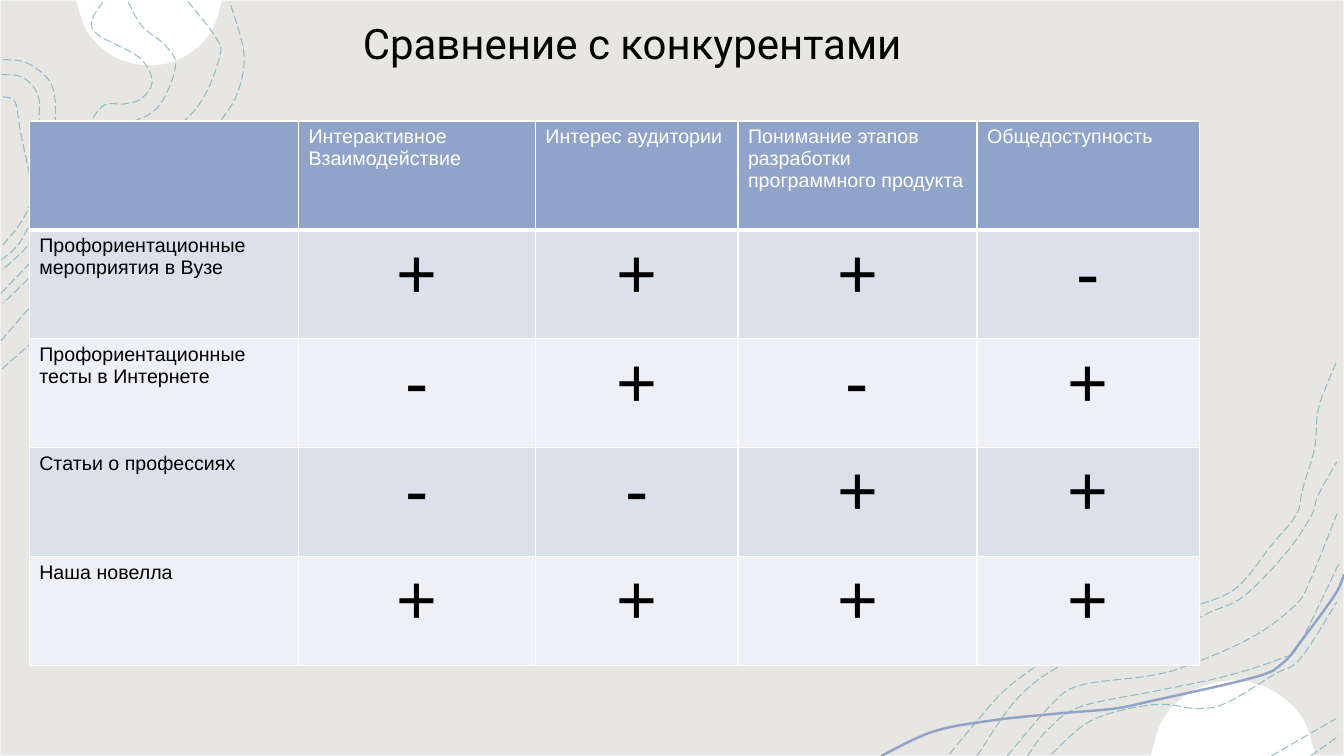
"""Build a slide with a competitor comparison table over a wavy line backdrop."""
import math

from lxml import etree
from pptx import Presentation
from pptx.dml.color import RGBColor
from pptx.enum.dml import MSO_LINE
from pptx.enum.shapes import MSO_SHAPE
from pptx.enum.text import PP_ALIGN
from pptx.oxml.ns import qn
from pptx.util import Inches, Pt

BACKDROP = RGBColor(0xE8, 0xE6, 0xE2)
BACKDROP_EDGE = RGBColor(0xF2, 0xF2, 0xF2)
WHITE = RGBColor(0xFF, 0xFF, 0xFF)
BLACK = RGBColor(0, 0, 0)
BLUE = RGBColor(0x90, 0xA4, 0xC9)
TEAL = RGBColor(0x74, 0xAB, 0xBB)
BAND_COLORS = (RGBColor(0xEE, 0xF0, 0xF5), RGBColor(0xDB, 0xE0, 0xEB))
LONG_DASH = MSO_LINE.LONG_DASH
RECTANGLE = MSO_SHAPE.RECTANGLE
LEFT, CENTER = PP_ALIGN.LEFT, PP_ALIGN.CENTER
WIDTH, HEIGHT = 13.33, 7.5
ARC_STEPS = 6

presentation = Presentation()
presentation.slide_width, presentation.slide_height = Inches(WIDTH), Inches(HEIGHT)
slide = presentation.slides.add_slide(presentation.slide_layouts[6])


def write_text(text_frame, text, size=14, font="Arial", color=BLACK, align=LEFT):
    paragraph = text_frame.paragraphs[0]
    paragraph.alignment = align
    run = paragraph.add_run()
    run.text = text
    run.font.size = Pt(size)
    run.font.name = font
    run.font.color.rgb = color


def draw_curve(points, color, width, close=False):
    vertices = [(Inches(x), Inches(y)) for x, y in points]
    builder = slide.shapes.build_freeform(*vertices[0])
    builder.add_line_segments(vertices[1:], close=False)
    shape = builder.convert_to_shape()
    shape.shadow.inherit = False
    outline = shape._element.find(".//" + qn("a:path"))
    local = [(int(node.get("x")), int(node.get("y"))) for node in outline.iter(qn("a:pt"))]
    padded = [local[0], *local, local[-1]]
    spans = zip(padded, padded[1:], padded[2:], padded[3:])
    for segment, (before, start, end, after) in zip(outline.findall(qn("a:lnTo")), spans):
        segment.tag = qn("a:cubicBezTo")
        leaving = [s + (e - b) // 6 for b, s, e in zip(before, start, end)]
        arriving = [e - (a - s) // 6 for s, e, a in zip(start, end, after)]
        for position, (x, y) in enumerate((leaving, arriving)):
            segment.insert(position, etree.Element(qn("a:pt"), x=str(x), y=str(y)))
    if close:
        etree.SubElement(outline, qn("a:close"))
        shape.fill.solid()
        shape.fill.fore_color.rgb = color
        shape.line.fill.background()
    else:
        shape.fill.background()
        shape.line.color.rgb = color
        shape.line.width = Pt(width)
    return shape


backdrop = slide.shapes.add_shape(RECTANGLE, 0, 0, Inches(WIDTH), Inches(HEIGHT))
backdrop.shadow.inherit = False
backdrop.fill.solid()
backdrop.fill.fore_color.rgb = BACKDROP
backdrop.line.color.rgb = BACKDROP_EDGE
backdrop.line.width = Pt(1)

for center_x, center_y, radius, first, last in (
        (1.48, -0.08, 0.73, 6, 174), (12.23, 7.57, 0.82, 185, 355)):
    angles = [math.radians(first + (last - first) * step / ARC_STEPS)
              for step in range(ARC_STEPS + 1)]
    rim = [(center_x + radius * math.cos(angle), center_y + radius * math.sin(angle))
           for angle in angles]
    draw_curve(rim, WHITE, 0, close=True)

draw_curve([
    (8.74, 7.5), (9.25, 7.26), (9.82, 7.15), (10.48, 7.08), (11.05, 7.03), (11.44, 6.95),
    (12.44, 6.72), (12.72, 6.58), (12.92, 6.34), (13.24, 5.9), (13.33, 5.7)], BLUE, 1.75)

TOP_LEFT_WAVES = [
    [(0.02, 3.66), (0.55, 3.19), (0.86, 2.9), (1.27, 2.69), (1.6, 2.23), (1.81, 1.71),
     (2.19, 1.2), (2.36, 0.91), (2.42, 0.53), (2.28, 0.02)],
    [(0.01, 3.38), (0.38, 2.96), (0.88, 2.44), (1.22, 1.96), (1.54, 1.49), (1.98, 1.03),
     (2.18, 0.56), (2.14, 0.37), (1.87, 0.02)],
    [(1.27, 0.02), (1.41, 0.26), (1.65, 0.46), (1.74, 0.67), (1.55, 1.08), (1.16, 1.28),
     (0.95, 1.52), (0.78, 2.08), (0.42, 2.61), (0.03, 3.01)],
    [(0.01, 2.91), (0.56, 2.32), (0.7, 2.04), (0.84, 1.38), (1.01, 1.06), (1.24, 1.03),
     (1.4, 0.98), (1.51, 0.81), (1.38, 0.57), (0.98, 0.35), (0.91, 0.21), (1.02, 0.02)],
    [(0.03, 0.59), (0.28, 0.63), (0.52, 0.86), (0.55, 1.32), (0.54, 1.9), (0.31, 2.39),
     (0.02, 2.68)],
    [(0.02, 0.74), (0.23, 0.77), (0.38, 0.95), (0.39, 1.26), (0.44, 1.81), (0.22, 2.37),
     (0.01, 2.58)],
    [(0.03, 0.96), (0.15, 1.01), (0.2, 1.29), (0.31, 1.89), (0.23, 2.17), (0.03, 2.43)],
]
BOTTOM_RIGHT_WAVES = [
    [(9.42, 7.48), (9.71, 7.13), (10.02, 6.8), (10.56, 6.43), (10.98, 6.25), (11.37, 6.29),
     (11.73, 6.06), (12.24, 5.85), (12.61, 5.41), (12.86, 5.1), (12.92, 4.85),
     (13.04, 4.44), (13.08, 4.04), (13.26, 3.58)],
    [(9.69, 7.5), (10.08, 6.94), (10.49, 6.62), (11.03, 6.38), (11.45, 6.41), (11.95, 6.1),
     (12.33, 5.92), (12.76, 5.48), (13.01, 5.11), (13.07, 4.92), (13.26, 4.58)],
    [(13, 7.5), (13.28, 7.3)],
    [(12.61, 7.5), (13.25, 7.13)],
    [(10.43, 7.48), (10.84, 7.14), (11.45, 6.99), (11.88, 7.03), (12.17, 6.97),
     (12.64, 6.69), (12.9, 6.53), (13.26, 5.97)],
    [(10.19, 7.5), (10.39, 7.24), (10.72, 7.01), (11.49, 6.85), (12.15, 6.71),
     (12.71, 6.53), (12.88, 6.4), (13.28, 5.59)],
    [(9.99, 7.5), (10.42, 7), (10.71, 6.8), (11.43, 6.7), (11.84, 6.58), (12.44, 6.31),
     (12.85, 6), (12.99, 5.77), (13.26, 5.1)],
]
for wave_points in TOP_LEFT_WAVES + BOTTOM_RIGHT_WAVES:
    wave = draw_curve(wave_points, TEAL, 0.75)
    wave.line.dash_style = LONG_DASH
    wave_color = wave._element.spPr.find(qn("a:ln")).find(qn("a:solidFill"))[0]
    etree.SubElement(wave_color, qn("a:alpha"), val="75000")

title = slide.shapes.add_textbox(Inches(3.5), Inches(0.12), Inches(9.65), Inches(0.61))
title.text_frame.word_wrap = True
write_text(title.text_frame, "Сравнение с конкурентами", size=30, font="Roboto")

COLUMN_WIDTHS = (2.67, 2.35, 2.01, 2.37, 2.21)
ROW_HEIGHT = 1.08
ROWS = (
    ("", "Интерактивное Взаимодействие", "Интерес аудитории",
     "Понимание этапов разработки программного продукта", "Общедоступность"),
    ("Профориентационные мероприятия в Вузе", *"+++-"),
    ("Профориентационные тесты в Интернете", *"-+-+"),
    ("Статьи о профессиях", *"--++"),
    ("Наша новелла", *"++++"),
)
table = slide.shapes.add_table(
    len(ROWS), len(COLUMN_WIDTHS), Inches(0.29), Inches(1.2),
    Inches(sum(COLUMN_WIDTHS)), Inches(ROW_HEIGHT * len(ROWS))).table
for column, column_width in zip(table.columns, COLUMN_WIDTHS):
    column.width = Inches(column_width)
for row_index, row in enumerate(ROWS):
    table.rows[row_index].height = Inches(ROW_HEIGHT)
    is_header = row_index == 0
    for column_index, text in enumerate(row):
        cell = table.cell(row_index, column_index)
        if is_header:
            write_text(cell.text_frame, text, color=WHITE)
        elif column_index == 0:
            write_text(cell.text_frame, text)
        else:
            write_text(cell.text_frame, text, size=50, align=CENTER)
        properties = cell._tc.get_or_add_tcPr()
        for side in ("lnL", "lnR", "lnT", "lnB"):
            thickness = 3 if is_header and side == "lnB" else 1
            border = etree.SubElement(properties, qn(f"a:{side}"), w=str(int(Pt(thickness))))
            border_fill = etree.SubElement(border, qn("a:solidFill"))
            etree.SubElement(border_fill, qn("a:srgbClr"), val=str(WHITE))
        cell.fill.solid()
        cell.fill.fore_color.rgb = BLUE if is_header else BAND_COLORS[row_index % 2]

presentation.save("out.pptx")
